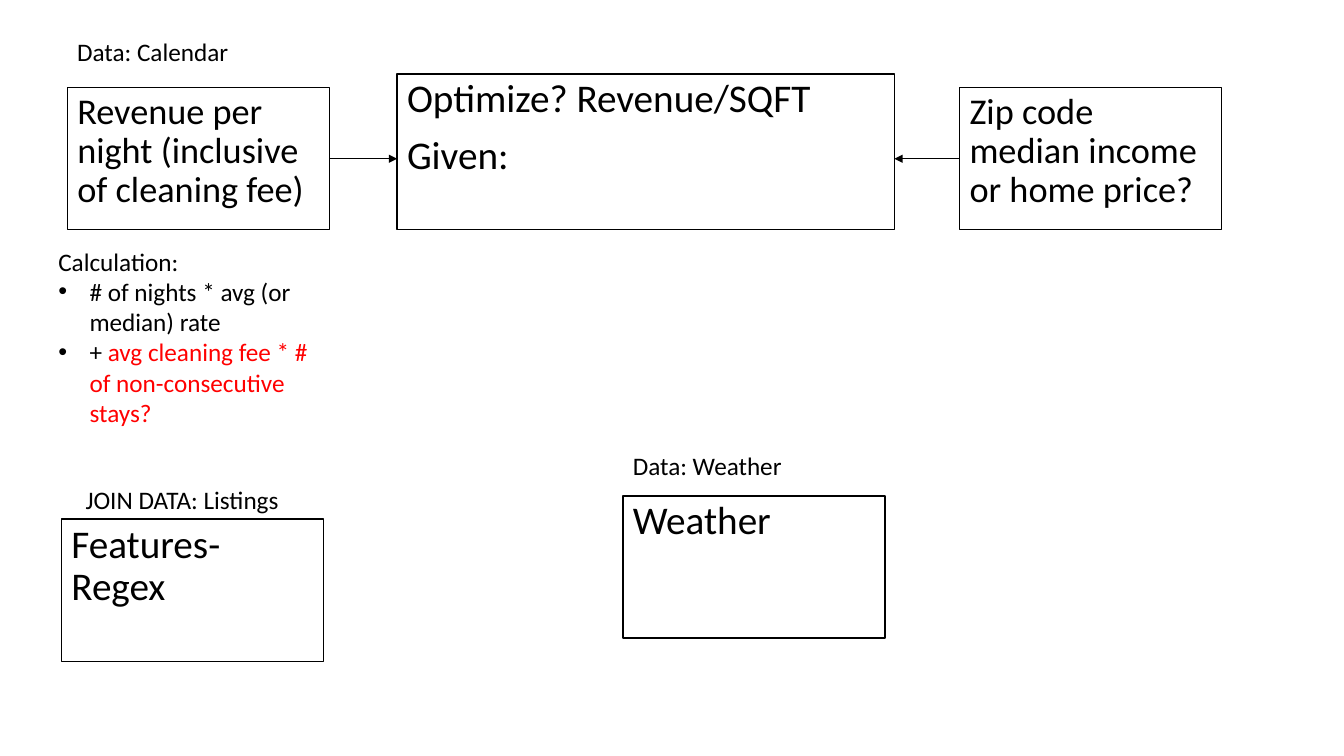
from lxml.etree import SubElement
from pptx import Presentation
from pptx.dml.color import RGBColor
from pptx.enum.shapes import MSO_CONNECTOR, MSO_SHAPE
from pptx.enum.text import MSO_ANCHOR, MSO_AUTO_SIZE, PP_ALIGN
from pptx.oxml.ns import qn
from pptx.util import Inches, Pt

COLORS = {"ink": "000000", "paper": "FFFFFF", "question": "FF0000"}
FONT = "Calibri"
CARD_W, CARD_H = 19.5, 18.8
LABEL_H = 5.33

prs = Presentation()
prs.slide_width, prs.slide_height = Inches(13.33), Inches(7.5)
COL, ROW = prs.slide_width / 100, prs.slide_height / 100


def rgb(name):
    return RGBColor.from_string(COLORS[name])


def to_emu(box):
    x, y, w, h = box
    return [round(v) for v in (x * COL, y * ROW, w * COL, h * ROW)]


def add_run(p, text, size, color="ink"):
    r = p.add_run()
    r.text = text
    r.font.name, r.font.size = FONT, Pt(size)
    r.font.color.rgb = rgb(color)


def set_bullet(p, indent=0):
    pPr = p._p.get_or_add_pPr()
    pPr.set("marL", str(Inches(indent)))
    pPr.set("indent", str(-Inches(indent)))
    if indent:
        SubElement(pPr, qn("a:buFont"), typeface="Arial")
        SubElement(pPr, qn("a:buChar"), char="•")
    else:
        SubElement(pPr, qn("a:buNone"))


def add_card(s, box, lines, size=28, holder=None):
    sp = holder
    if sp is None:
        sp = s.shapes.add_shape(MSO_SHAPE.RECTANGLE, *to_emu(box))
        sp.shadow.inherit = False
    else:
        sp.left, sp.top, sp.width, sp.height = to_emu(box)
    sp.fill.solid()
    sp.fill.fore_color.rgb = rgb("paper")
    sp.line.color.rgb = rgb("ink")
    sp.line.width = Pt(1)
    tf = sp.text_frame
    tf.word_wrap, tf.auto_size = True, MSO_AUTO_SIZE.NONE
    tf.vertical_anchor = MSO_ANCHOR.TOP
    for i, text in enumerate(lines):
        p = tf.add_paragraph() if i else tf.paragraphs[0]
        p.alignment = PP_ALIGN.LEFT
        p.line_spacing, p.space_before = 0.9, Pt(10)
        set_bullet(p)
        add_run(p, text, size)
    return sp


def add_note(s, box, paragraphs):
    tf = s.shapes.add_textbox(*to_emu(box)).text_frame
    tf.word_wrap = True
    for i, (indent, runs) in enumerate(paragraphs):
        p = tf.add_paragraph() if i else tf.paragraphs[0]
        set_bullet(p, indent)
        for text, color in runs:
            add_run(p, text, 18, color)


def add_label(s, box, text):
    add_note(s, box, [(0, [(text, "ink")])])


def add_arrow(s, x1, x2, y):
    cn = s.shapes.add_connector(MSO_CONNECTOR.STRAIGHT, x1, y, x2, y)
    cn.line.color.rgb = rgb("ink")
    cn.line.width = Pt(0.5)
    SubElement(cn.line._get_or_add_ln(), qn("a:tailEnd"), type="triangle")
    SubElement(cn._element.spPr, qn("a:effectLst"))


def revenue_region(s, box, holder):
    x, y, w, h = box
    card = add_card(s, box, ["Revenue per night (inclusive of cleaning fee)"], 25.9, holder)
    add_label(s, (x, y - 7.47, 15.3, LABEL_H), "Data: Calendar")
    add_note(s, (x - 1.4, y + h + 1.47, w + 1.95, 25.6), [
        (0, [("Calculation:", "ink")]),
        (0.31, [("# of nights * avg (or median) rate", "ink")]),
        (0.31, [("+ ", "ink"),
                ("avg cleaning fee * # of non-consecutive stays?", "question")]),
    ])
    return card


def goal_region(s, box, revenue, income):
    goal = add_card(s, box, ["Optimize? Revenue/SQFT", "Given:"])
    mid = revenue.top + revenue.height // 2
    add_arrow(s, revenue.left + revenue.width, goal.left, mid)
    add_arrow(s, income.left, goal.left + goal.width, mid)


def income_region(s, box):
    return add_card(s, box, ["Zip code median income or home price?"], 25.9)


def weather_region(s, box):
    x, y, w, h = box
    add_card(s, box, ["Weather"])
    add_label(s, (x, y - 6.67, 15.3, LABEL_H), "Data: Weather")


def listings_region(s, box):
    x, y, w, h = box
    add_label(s, (x + 1.05, y - LABEL_H, 22.73, LABEL_H), "JOIN DATA: Listings")
    add_card(s, box, ["Features- Regex"])


s = prs.slides.add_slide(prs.slide_layouts[1])
title, body = s.placeholders[0], s.placeholders[1]
title._element.getparent().remove(title._element)

revenue = revenue_region(s, (5, 11.6, CARD_W, CARD_H), body)
income = income_region(s, (71.4, 11.6, CARD_W, CARD_H))
goal_region(s, (29.55, 9.8, 37, 20.6), revenue, income)
weather_region(s, (46.35, 65.6, CARD_W, CARD_H))
listings_region(s, (4.58, 68.67, CARD_W, CARD_H))

prs.save("out.pptx")
